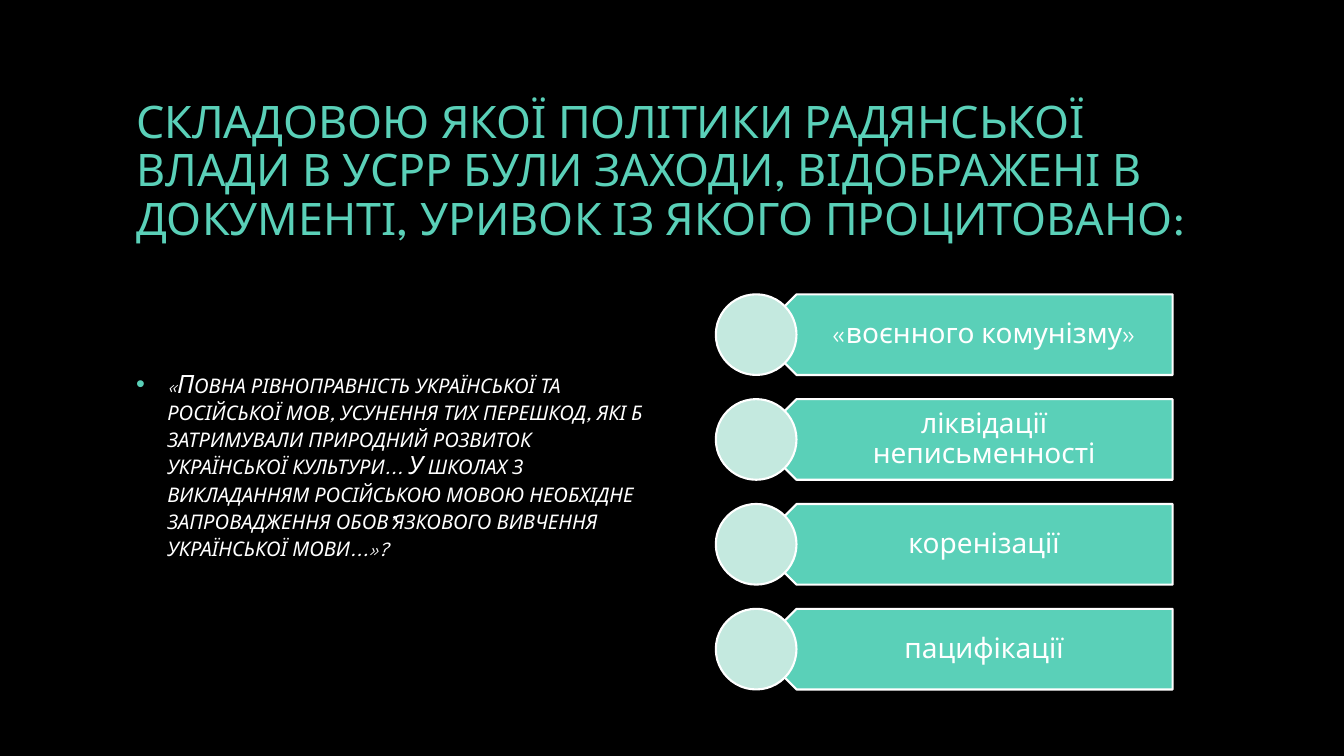
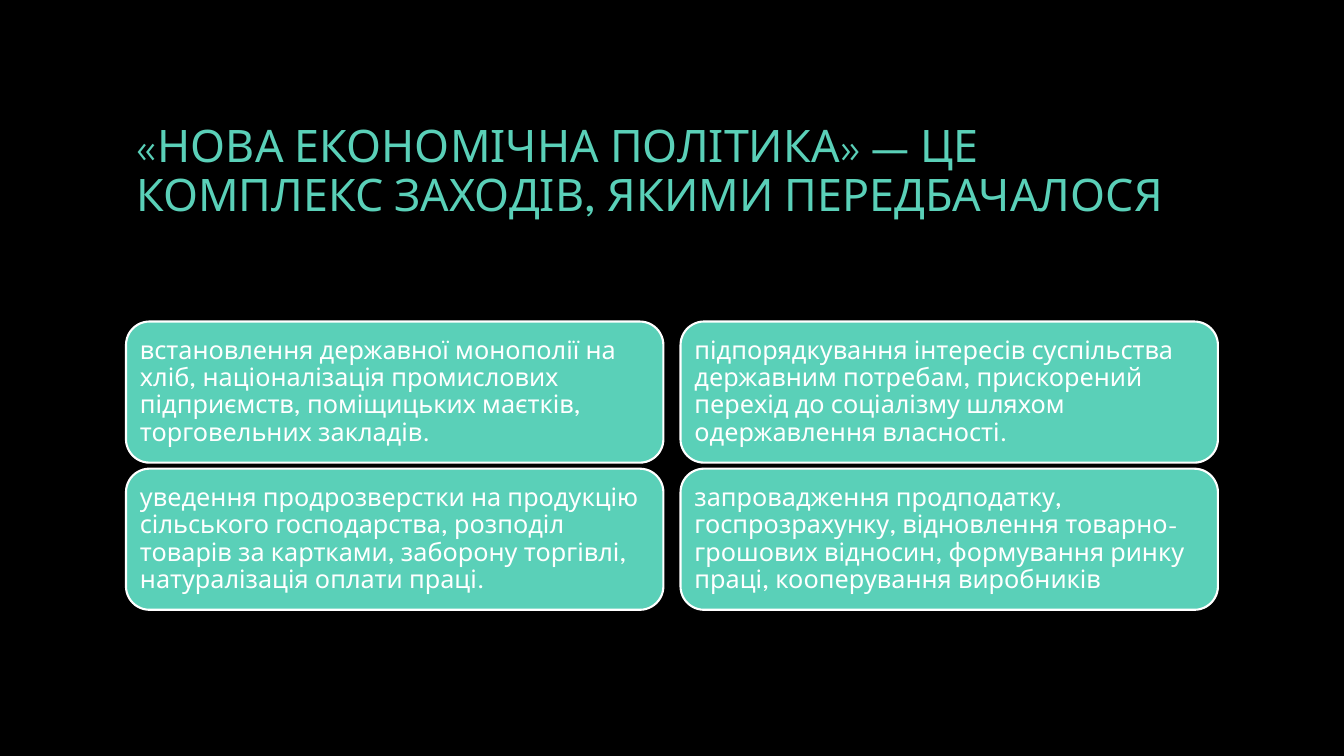
"""Build two history quiz slides in turquoise on black."""
from lxml import etree
from pptx import Presentation
from pptx.dml.color import RGBColor
from pptx.enum import shapes, text
from pptx.oxml import ns
from pptx.util import Inches, Pt

BLACK = RGBColor(0x00, 0x00, 0x00)
WHITE = RGBColor(0xFF, 0xFF, 0xFF)
TEAL = RGBColor(0x5A, 0xD0, 0xB8)
MINT = RGBColor(0xC4, 0xE9, 0xDF)
FONT = "League Spartan"


def write(sp, words, size, color, align=text.PP_ALIGN.LEFT):
    tf = sp.text_frame
    tf.word_wrap = True
    tf.auto_size = text.MSO_AUTO_SIZE.NONE
    tf.vertical_anchor = text.MSO_ANCHOR.MIDDLE
    p = tf.paragraphs[0]
    p.alignment = align
    p.line_spacing = 0.9
    p.space_before = Pt(0)
    r = p.add_run()
    r.text = words
    r.font.name = FONT
    r.font.size = Pt(size)
    r.font.color.rgb = color
    return p, r


def add_box(s, kind, left, top, width, height, fill):
    sp = s.shapes.add_shape(kind, Inches(left), Inches(top), Inches(width), Inches(height))
    sp.shadow.inherit = False
    sp.fill.solid()
    sp.fill.fore_color.rgb = fill
    sp.line.color.rgb = WHITE
    sp.line.width = Pt(1.5)
    return sp


prs = Presentation()
prs.slide_width = Inches(13.33)
prs.slide_height = Inches(7.5)
background = prs.slide_master.background.fill
background.solid()
background.fore_color.rgb = BLACK

titles = [
    (1, "СКЛАДОВОЮ ЯКОЇ ПОЛІТИКИ РАДЯНСЬКОЇ ВЛАДИ В УСРР БУЛИ ЗАХОДИ, "
        "ВІДОБРАЖЕНІ В ДОКУМЕНТІ, УРИВОК ІЗ ЯКОГО ПРОЦИТОВАНО:"),
    (5, "«НОВА ЕКОНОМІЧНА ПОЛІТИКА» — ЦЕ КОМПЛЕКС ЗАХОДІВ, ЯКИМИ ПЕРЕДБАЧАЛОСЯ"),
]
for layout, words in titles:
    s = prs.slides.add_slide(prs.slide_layouts[layout])
    sp = s.shapes.title
    sp.left, sp.top, sp.width, sp.height = map(Inches, (1.25, 0.67, 10.83, 2.08))
    write(sp, words, 32, TEAL)
quote_slide, policy_slide = prs.slides

quote = quote_slide.placeholders[1]
quote.left, quote.top, quote.width, quote.height = map(Inches, (1.25, 2.92, 5.33, 3.42))
p, r = write(
    quote,
    "«Повна рівноправність української та російської мов, усунення тих перешкод, "
    "які б затримували природний розвиток української культури... У школах з "
    "викладанням російською мовою необхідне запровадження обов’язкового вивчення "
    "української мови...»?",
    18, WHITE)
p.space_after = Pt(6)
r.font.italic = True
r.font._element.set("cap", "small")
pPr = p._p.get_or_add_pPr()
pPr.set("marL", str(Inches(0.31)))
pPr.set("indent", str(-Inches(0.31)))
bullet_color = etree.SubElement(pPr, ns.qn("a:buClr"))
etree.SubElement(bullet_color, ns.qn("a:srgbClr"), val=str(TEAL))
etree.SubElement(pPr, ns.qn("a:buFont"), typeface="Arial")
etree.SubElement(pPr, ns.qn("a:buChar"), char="•")

answers = ["«воєнного комунізму»", "ліквідації неписьменності", "коренізації", "пацифікації"]
for i, words in enumerate(answers):
    top = 2.92 + 1.04 * i
    arrow = add_box(quote_slide, shapes.MSO_SHAPE.PENTAGON, 7.5, top, 4.13, 0.8, TEAL)
    arrow.rotation = 180
    label = quote_slide.shapes.add_textbox(Inches(7.7), Inches(top), Inches(3.93), Inches(0.8))
    tf = label.text_frame
    tf.margin_left, tf.margin_right = Inches(0.35), Inches(0.16)
    tf.margin_top = tf.margin_bottom = Inches(0.08)
    write(label, words, 20, WHITE, text.PP_ALIGN.CENTER)
    add_box(quote_slide, shapes.MSO_SHAPE.OVAL, 7.1, top, 0.8, 0.8, MINT)

policies = [
    "встановлення державної монополії на хліб, націоналізація промислових "
    "підприємств, поміщицьких маєтків, торговельних закладів.",
    "уведення продрозверстки на продукцію сільського господарства, розподіл "
    "товарів за картками, заборону торгівлі, натуралізація оплати праці.",
    "підпорядкування інтересів суспільства державним потребам, прискорений "
    "перехід до соціалізму шляхом одержавлення власності.",
    "запровадження продподатку, госпрозрахунку, відновлення товарно-грошових "
    "відносин, формування ринку праці, кооперування виробників",
]
for i, words in enumerate(policies):
    col, row = divmod(i, 2)
    card = add_box(policy_slide, shapes.MSO_SHAPE.ROUNDED_RECTANGLE,
                   1.25 + 5.5 * col, 3.19 + 1.46 * row, 5.33, 1.4, TEAL)
    tf = card.text_frame
    tf.margin_left = tf.margin_right = tf.margin_top = tf.margin_bottom = Inches(0.07)
    write(card, words, 18, WHITE)

prs.save("out.pptx")
